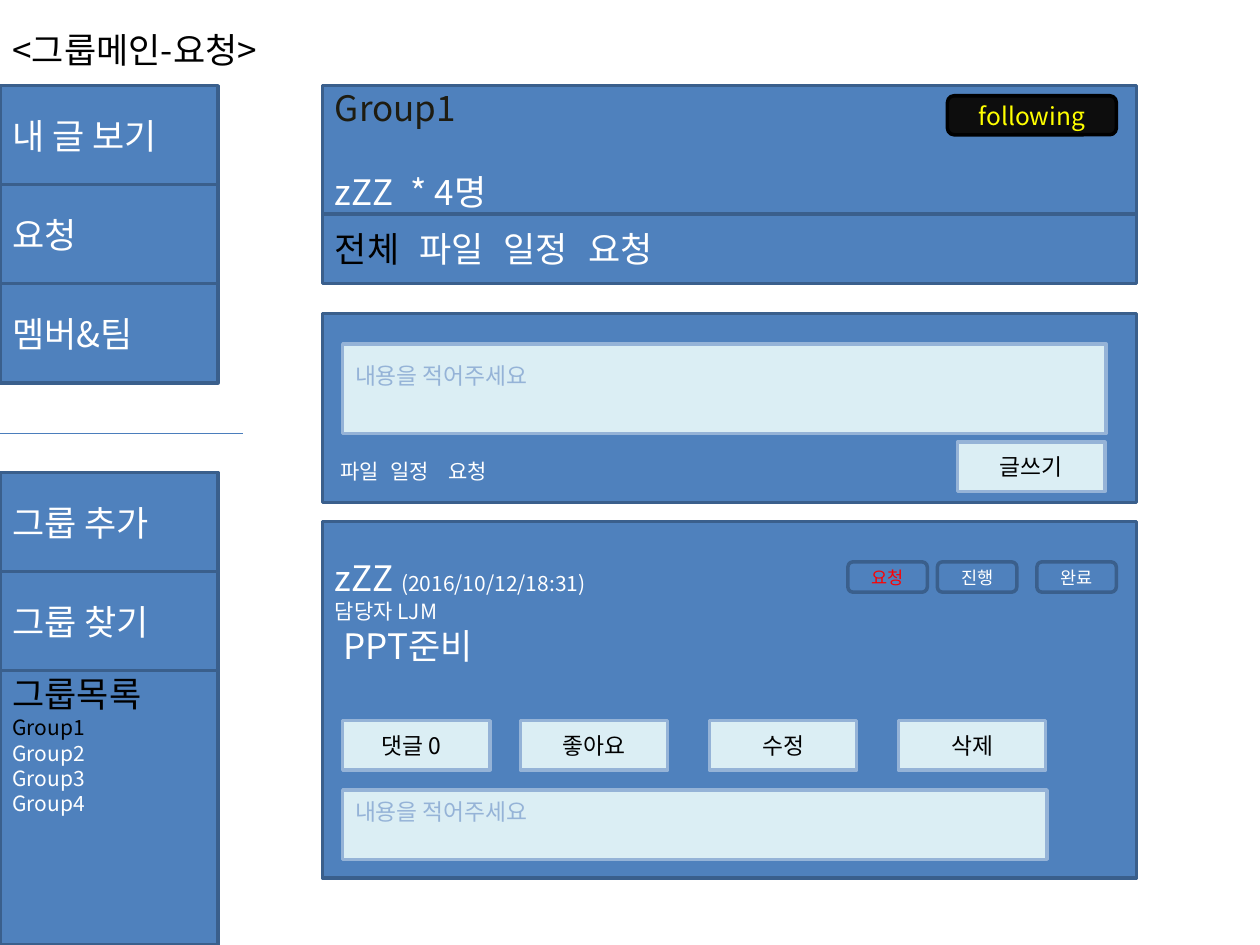
from lxml.etree import SubElement
from pptx import Presentation
from pptx.dml.color import RGBColor
from pptx.enum.shapes import MSO_CONNECTOR, MSO_SHAPE
from pptx.enum.text import MSO_ANCHOR, PP_ALIGN
from pptx.oxml.ns import qn
from pptx.util import Inches, Pt

FONT = "Noto Sans CJK KR"
BLACK, WHITE = "000000", "FFFFFF"
BLUE, PALE = ("4F81BD", "3A5F8C"), ("DBEEF4", "95B3D7")  # fill, line
TOP, MID, LOW = MSO_ANCHOR.TOP, MSO_ANCHOR.MIDDLE, MSO_ANCHOR.BOTTOM

# Content: a run is (text, size, colour)
TITLE = "<그룹메인-요청>"
MENUS = [(0.68, ["내 글 보기", "요청", "멤버&팀"]),
         (3.75, ["그룹 추가", "그룹 찾기"])]
GROUPS = ["Group1", "Group2", "Group3", "Group4"]
TABS = ["파일", "일정", "요청"]
HINT = "내용을 적어주세요"
STATES = [(6.73, "요청", "FF0000"), (7.44, "진행", WHITE), (8.23, "완료", WHITE)]
ACTS = [(2.72, "댓글 0", 0.18), (4.13, "좋아요", 0.1),
        (5.63, "수정", 0.1), (7.13, "삭제", 0.1)]

# Grid
SIDE, ROW = 1.73, 0.79
LEFT, WIDE = 2.56, 6.46
INNER, BTN_W, BTN_H = 2.72, 1.17, 0.39

deck = Presentation()
deck.slide_width, deck.slide_height = Inches(10), Inches(7.5)
slide = deck.slides.add_slide(deck.slide_layouts[6])


def rgb(code):
    return RGBColor.from_string(code)


def para(*runs, before=0, indent=0, stops=()):
    return dict(runs=runs, before=before, indent=indent, stops=stops)


def write(shape, paras, anchor=MID, center=False, left=0.1, right=0.1, pad=0):
    frame = shape.text_frame
    frame.word_wrap = True
    frame.vertical_anchor = anchor
    frame.margin_left, frame.margin_right = Inches(left), Inches(right)
    frame.margin_top = frame.margin_bottom = Inches(pad)
    for i, item in enumerate(paras):
        par = frame.add_paragraph() if i else frame.paragraphs[0]
        par.alignment = PP_ALIGN.CENTER if center else PP_ALIGN.LEFT
        props = par._p.get_or_add_pPr()
        if item["indent"]:
            props.set("marL", str(Inches(item["indent"])))
        if item["stops"]:
            tabs = SubElement(props, qn("a:tabLst"))
            for stop in item["stops"]:
                SubElement(tabs, qn("a:tab"), pos=str(Inches(stop)), algn="l")
        if len(paras) > 1:
            par.line_spacing = Pt(1.2 * max(run[1] for run in item["runs"]))
        if item["before"]:
            par.space_before = Pt(item["before"])
        for text, size, color in item["runs"]:
            run = par.add_run()
            run.text = text
            run.font.size = Pt(size)
            run.font.color.rgb = rgb(color)
            run.font.name = FONT
            SubElement(run._r.get_or_add_rPr(), qn("a:ea"), typeface=FONT)


def box(x, y, w, h, paras, look=BLUE, kind=MSO_SHAPE.RECTANGLE, **form):
    shape = slide.shapes.add_shape(kind, *map(Inches, (x, y, w, h)))
    shape.shadow.inherit = False
    shape.fill.solid()
    shape.fill.fore_color.rgb = rgb(look[0])
    shape.line.color.rgb = rgb(look[1])
    shape.line.width = Pt(2)
    write(shape, paras, **form)


def label(x, y, w, h, text, size, color, **form):
    box(x, y, w, h, [para((text, size, color))], center=True, **form)


# Title
head = slide.shapes.add_textbox(0, 0, Inches(9.09), Inches(ROW))
write(head, [para((TITLE, 20, BLACK))])

# Side menus, divider and group list
for top, names in MENUS:
    for i, name in enumerate(names):
        box(0, top + i * (ROW - 0.005), SIDE, ROW, [para((name, 20, WHITE))])

rule = slide.shapes.add_connector(
    MSO_CONNECTOR.STRAIGHT, 0, Inches(3.44), Inches(1.93), Inches(3.44))
rule.line.color.rgb = rgb("4B7EBC")
rule.line.width = Pt(0.75)
SubElement(rule._element.spPr, qn("a:effectLst"))

items = [para((name, 12, WHITE if i else BLACK)) for i, name in enumerate(GROUPS)]
box(0, 5.32, SIDE, 2.18, [para(("그룹목록", 20, BLACK)), *items],
    anchor=TOP, pad=0.02)

# Group header
box(LEFT, 0.68, WIDE, 1.02,
    [para(("Group1", 20, "1E1C11")),
     para(("zZZ\t* 4명", 20, WHITE), before=24, stops=[0.6])])
label(7.52, 0.76, 1.34, 0.31, "following", 14, "FFFF00",
      look=("0D0D0D", BLACK), kind=MSO_SHAPE.ROUNDED_RECTANGLE)
box(LEFT, 1.7, WIDE, 0.55,
    [para(("전체", 20, BLACK), ("\t" + "\t".join(TABS), 20, WHITE),
          stops=[0.67 * n for n in (1, 2, 3)])])

# New post
box(LEFT, 2.49, WIDE, 1.5,
    [para(("\t".join(TABS), 12, WHITE), stops=[0.4, 0.86])],
    anchor=LOW, left=0.14, pad=0.15)
hint = [para((HINT, 13, PALE[1]))]
box(INNER, 2.73, 6.06, 0.71, hint, look=PALE, anchor=TOP, pad=0.14)
label(7.6, 3.51, BTN_W, BTN_H, "글쓰기", 13, BLACK, look=PALE)

# Posted request
box(LEFT, 4.14, WIDE, 2.83,
    [para(("zZZ ", 20, WHITE), ("(2016/10/12/18:31)", 12, WHITE)),
     para(("담당자 LJM", 12, WHITE)),
     para(("PPT준비", 20, WHITE), indent=0.07)],
    anchor=TOP, pad=0.28)
for x, name, right in ACTS:
    label(x, 5.72, BTN_W, BTN_H, name, 13, BLACK, look=PALE, right=right)
box(INNER, 6.27, 5.59, 0.55, hint, look=PALE, anchor=TOP, pad=0.06)
for x, name, color in STATES:
    label(x, 4.46, 0.63, 0.24, name, 10, color,
          kind=MSO_SHAPE.ROUNDED_RECTANGLE)

deck.save("out.pptx")
